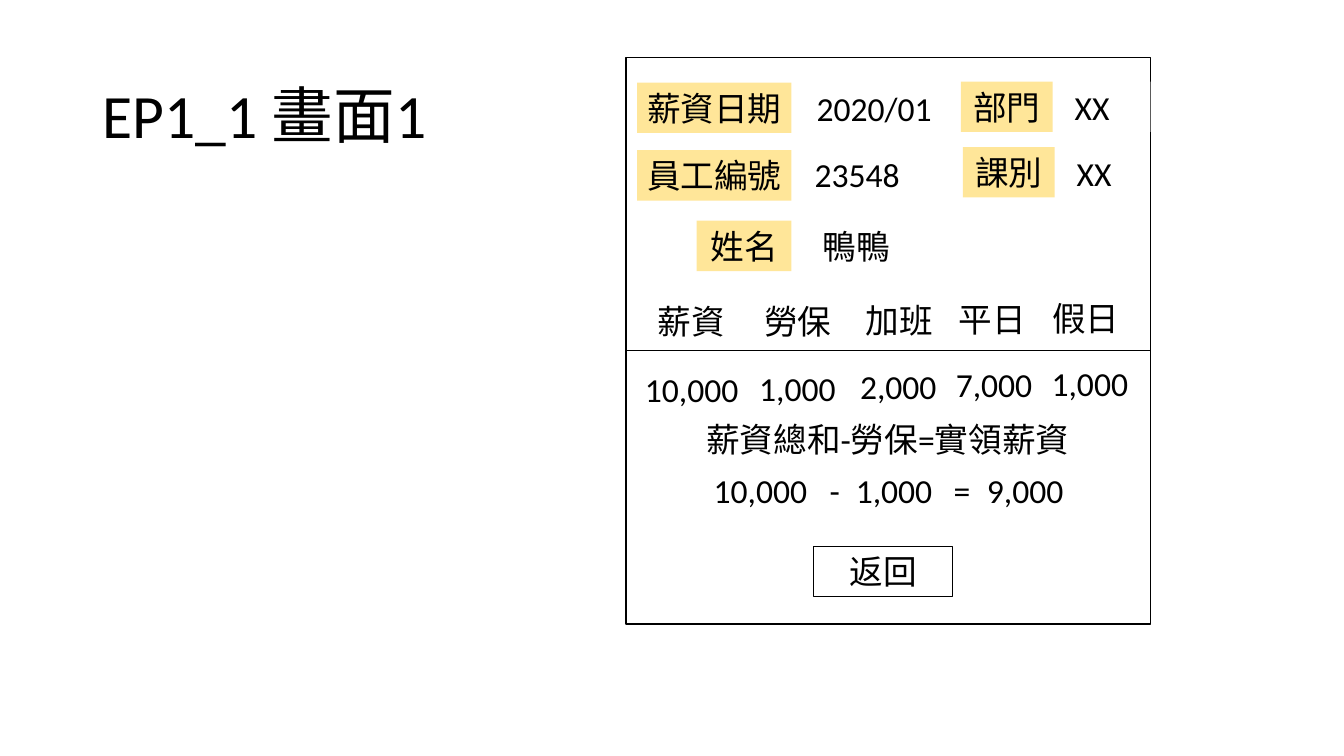
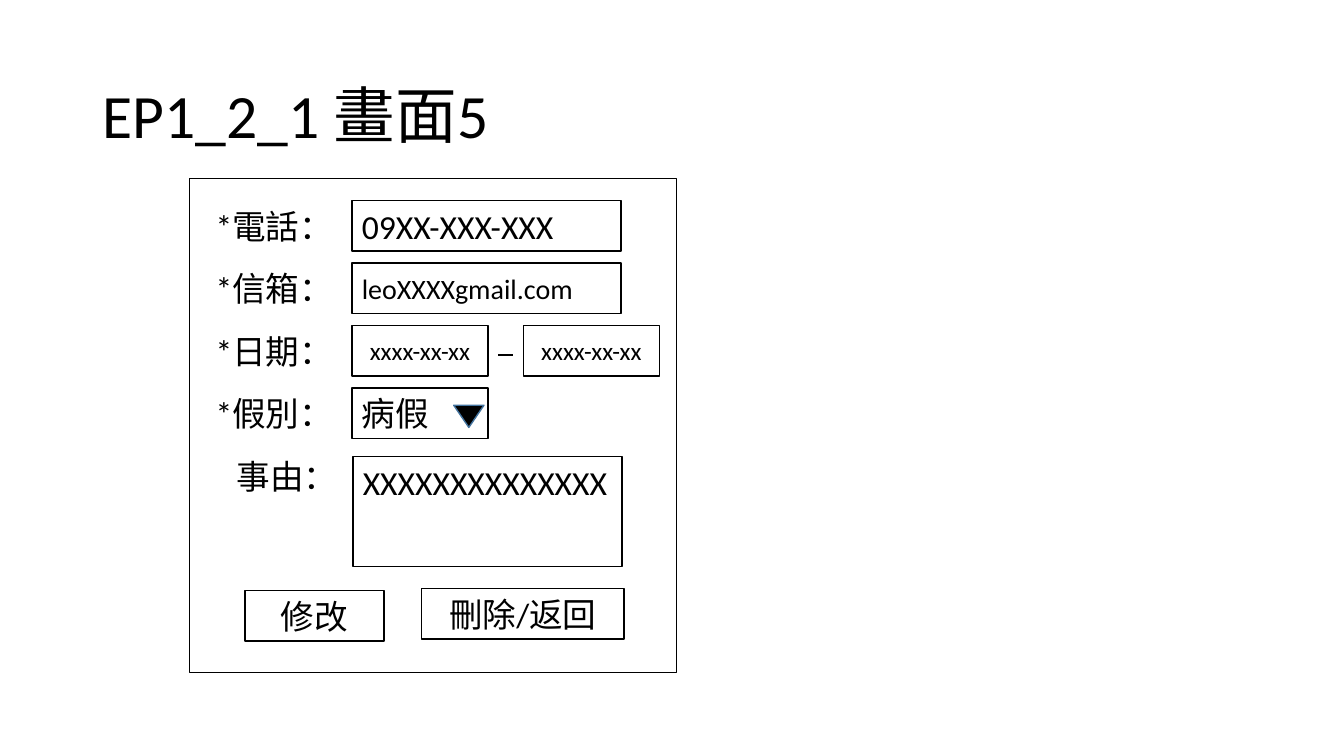
from dataclasses import dataclass
from typing import NamedTuple, Optional

from lxml import etree
from pptx import Presentation
from pptx import util as u
from pptx.dml.color import RGBColor
from pptx.enum import shapes, text
from pptx.oxml import ns

MID, LEFT = text.PP_ALIGN.CENTER, text.PP_ALIGN.LEFT


@dataclass(frozen=True)
class Theme:
    font: str = "Calibri"
    ink: str = "000000"
    paper: str = "FFFFFF"
    tag: str = "FFE699"
    rim: str = "43739E"
    title: int = 44
    body: int = 24
    mail: int = 20
    date: int = 18


THEME = Theme()


class Box(NamedTuple):
    words: str
    x: float
    y: float
    w: float
    h: float = 0.5
    fill: Optional[str] = THEME.paper
    edge: Optional[str] = None
    size: int = THEME.body
    align: text.PP_ALIGN = MID
    middle: bool = False
    tabs: tuple[float, ...] = ()


def tag(words: str, x: float, y: float, w: float) -> Box:
    return Box(words, x, y, w, fill=THEME.tag)


def value(words: str, x: float, y: float, w: float = 1.39) -> Box:
    return Box(words, x, y, w, align=LEFT)


def label(words: str, x: float, y: float) -> Box:
    """A bare label that ends where the fields begin."""
    return Box(words, x, y, FIELD - x, fill=None, align=LEFT)


def field(words: str, x: float, y: float, w: float, size: int = THEME.body,
          align: text.PP_ALIGN = LEFT) -> Box:
    return Box(words, x, y, w, edge=THEME.ink, size=size, align=align, middle=True)


def button(words: str, x: float, y: float, w: float = 1.38) -> Box:
    return field(words, x, y, w, align=MID)


def paint(shape, fill: Optional[str], edge: Optional[str]) -> None:
    shape.shadow.inherit = False
    if fill:
        shape.fill.solid()
        shape.fill.fore_color.rgb = RGBColor.from_string(fill)
    else:
        shape.fill.background()
    if edge:
        shape.line.color.rgb = RGBColor.from_string(edge)
        shape.line.width = u.Pt(1)
    else:
        shape.line.fill.background()


def stops(para, places: tuple[float, ...]) -> None:
    """Set left tab stops, in inches from the text edge."""
    tabs = etree.SubElement(para._p.get_or_add_pPr(), ns.qn("a:tabLst"))
    for place in places:
        etree.SubElement(tabs, ns.qn("a:tab"), pos=str(u.Inches(place)), algn="l")


def write(shape, box: Box) -> None:
    frame = shape.text_frame
    frame.word_wrap = box.align == LEFT
    frame.vertical_anchor = text.MSO_ANCHOR.MIDDLE if box.middle else text.MSO_ANCHOR.TOP
    para = frame.paragraphs[0]
    para.text = box.words
    para.alignment = box.align
    if box.tabs:
        stops(para, box.tabs)
    para.font.name = THEME.font
    para.font.size = u.Pt(box.size)
    para.font.color.rgb = RGBColor.from_string(THEME.ink)


def draw(slide, box: Box) -> None:
    place = [u.Inches(n) for n in (box.x, box.y, box.w, box.h)]
    if box.fill or box.edge:
        shape = slide.shapes.add_shape(shapes.MSO_SHAPE.RECTANGLE, *place)
        paint(shape, box.fill, box.edge)
    else:
        shape = slide.shapes.add_textbox(*place)
    if box.words:
        write(shape, box)


def rule(slide, x: float, y: float, end: float, width: float) -> None:
    """A level line from x to end."""
    line = slide.shapes.add_connector(
        shapes.MSO_CONNECTOR.STRAIGHT, *(u.Inches(n) for n in (x, y, end, y)))
    line.line.color.rgb = RGBColor.from_string(THEME.ink)
    line.line.width = u.Pt(width)
    etree.SubElement(line._element.spPr, ns.qn("a:effectLst"))


def start(deck, title: str, panel: Box):
    """Add a slide with its title and the outline of its screen."""
    slide = deck.slides.add_slide(deck.slide_layouts[6])
    draw(slide, Box(title, 0.92, 0.4, 11.5, 1.45, fill=None,
                    size=THEME.title, align=LEFT, middle=True))
    draw(slide, panel)
    return slide


FIELD = 3.49
ROW = 1.99
STEP = 0.62

STAFF = [
    tag("薪資日期", 6.32, 0.82, 1.53), value("2020/01", 8, 0.82),
    tag("部門", 9.53, 0.81, 0.91), value("XX", 10.56, 0.81, 0.85),
    tag("員工編號", 6.32, 1.49, 1.53), value("23548", 7.98, 1.48),
    tag("課別", 9.55, 1.46, 0.91), value("XX", 10.58, 1.47, 0.65),
    tag("姓名", 6.91, 2.19, 0.94), value("鴨鴨", 8.06, 2.19),
]
HEADS = [
    Box("薪資", 6.34, 2.94, 1.03), Box("勞保", 7.4, 2.94, 1.03),
    Box("加班", 8.46, 2.93, 0.92), Box("平日", 9.38, 2.92, 0.92),
    Box("假日", 10.31, 2.91, 0.92),
]
SUMS = [
    Box("10,000", 6.22, 3.61, 1.28), Box("1,000", 7.36, 3.6, 1.1),
    Box("2,000", 8.36, 3.58, 1.1), Box("7,000", 9.31, 3.56, 1.1),
    Box("1,000", 10.26, 3.55, 1.1),
    Box("薪資總和-勞保=實領薪資", 6.37, 4.11, 4.87),
    Box("\t10,000\t-\t1,000\t=\t9,000", 6.37, 4.61, 4.87, align=LEFT,
        tabs=(0.61, 1.76, 2.02, 2.99, 3.32)),
]


def pay(deck) -> None:
    slide = start(deck, "EP1_1 畫面1",
                  Box("", 6.21, 0.57, 5.2, 5.62, fill=None, edge=THEME.ink))
    for box in STAFF + HEADS:
        draw(slide, box)
    rule(slide, 6.21, 3.48, 11.41, 0.5)
    for box in SUMS + [button("返回", 8.07, 5.42)]:
        draw(slide, box)


def leave(deck) -> None:
    slide = start(deck, "EP1_2_1 畫面5",
                  Box("", 1.88, 1.77, 4.83, 4.9, fill=None, edge=THEME.ink))
    rows = [ROW + STEP * n for n in range(5)]
    phone, mail, date, kind, cause = rows
    for words, y in zip(("*電話：", "*信箱：", "*日期：", "*假別："), rows):
        draw(slide, label(words, 2.04, y))
    for box in (
        field("09XX-XXX-XXX", FIELD, phone, 2.67),
        field("leoXXXXgmail.com", FIELD, mail, 2.67, THEME.mail),
        field("xxxx-xx-xx", FIELD, date, 1.35, THEME.date, MID),
        field("xxxx-xx-xx", 5.19, date, 1.35, THEME.date, MID),
        field("病假", FIELD, kind, 1.35),
        label("事由：", 2.25, cause),
        button("修改", 2.43, 5.86),
        button("刪除/返回", 4.18, 5.84, 2.01),
        Box("XXXXXXXXXXXXXX", 3.5, 4.53, 2.67, 1.09, edge=THEME.ink, align=LEFT),
    ):
        draw(slide, box)
    rule(slide, 4.94, 3.52, 5.09, 1.5)
    arrow = slide.shapes.add_shape(
        shapes.MSO_SHAPE.ISOSCELES_TRIANGLE,
        *(u.Inches(n) for n in (4.5, 4.02, 0.3, 0.22)))
    arrow.rotation = 180
    paint(arrow, THEME.ink, THEME.rim)


def main() -> None:
    deck = Presentation()
    deck.slide_width, deck.slide_height = u.Inches(13.33), u.Inches(7.5)
    pay(deck)
    leave(deck)
    deck.save("out.pptx")


if __name__ == "__main__":
    main()
